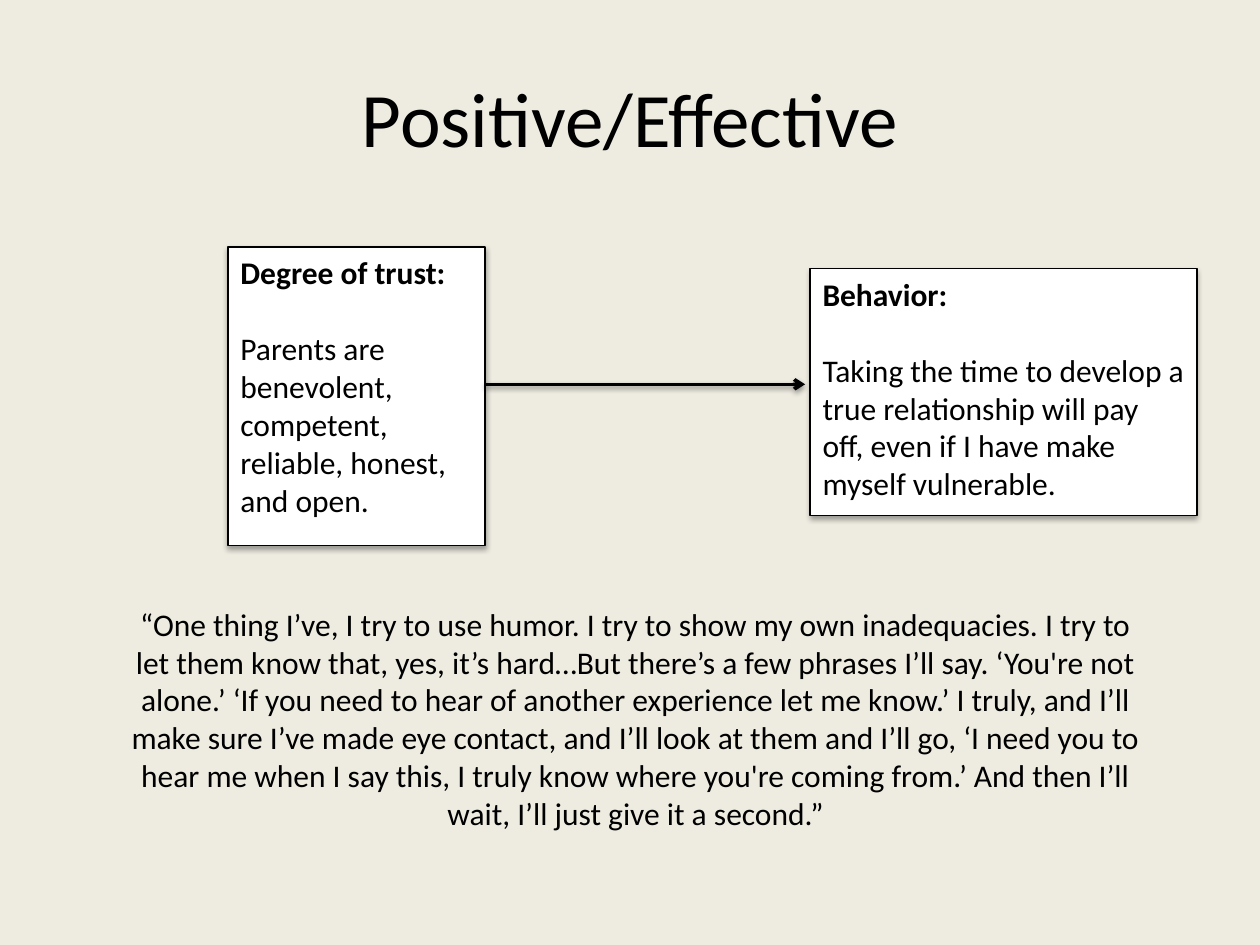
from pptx import Presentation
from pptx.dml.color import RGBColor
from pptx.enum.shapes import MSO_CONNECTOR, MSO_SHAPE
from pptx.enum.text import MSO_ANCHOR, PP_ALIGN
from pptx.oxml import parse_xml
from pptx.oxml.ns import nsdecls
from pptx.util import Inches, Pt

COLORS = {"background": "EEECE1", "box": "FFFFFF", "ink": "000000"}
BODY = {"name": "Calibri", "size": Pt(18), "bold": False}
HEADING = {**BODY, "bold": True}
TITLE = {**BODY, "size": Pt(44)}

TRUST = ("Degree of trust:",
         "Parents are benevolent, competent, reliable, honest, and open.")
BEHAVIOR = ("Behavior:",
            "Taking the time to develop a true relationship will pay off, "
            "even if I have make myself vulnerable.")
QUOTE = ("“One thing I’ve, I try to use humor. I try to show my own inadequacies. "
         "I try to let them know that, yes, it’s hard…But there’s a few phrases I’ll say. "
         "‘You're not alone.’ ‘If you need to hear of another experience let me know.’ "
         "I truly, and I’ll make sure I’ve made eye contact, and I’ll look at them and "
         "I’ll go, ‘I need you to hear me when I say this, I truly know where you're "
         "coming from.’ And then I’ll wait, I’ll just give it a second.”")


def rgb(name):
    """Return the named palette colour."""
    return RGBColor.from_string(COLORS[name])


def write(p, text, fmt, align=PP_ALIGN.LEFT):
    """Put formatted text into a paragraph."""
    p.alignment = align
    r = p.add_run()
    r.text = text
    for name, value in fmt.items():
        setattr(r.font, name, value)
    r.font.color.rgb = rgb("ink")


def set_line(sp, width):
    """Give a shape or connector a solid ink line."""
    sp.line.color.rgb = rgb("ink")
    sp.line.width = Pt(width)


def add_shadow(sp, alpha, distance):
    """Add a soft shadow that falls straight down."""
    sp._element.spPr.append(parse_xml(
        f'<a:effectLst {nsdecls("a")}><a:outerShdw blurRad="{Pt(3.1)}" '
        f'dist="{Pt(distance)}" dir="5400000" rotWithShape="0">'
        f'<a:srgbClr val="{COLORS["ink"]}"><a:alpha val="{alpha * 1000}"/></a:srgbClr>'
        '</a:outerShdw></a:effectLst>'))


def add_centered_text(s, box, text, fmt, anchor):
    """Add a wrapped text box with one centred paragraph."""
    tf = s.shapes.add_textbox(*map(Inches, box)).text_frame
    tf.word_wrap = True
    tf.vertical_anchor = anchor
    write(tf.paragraphs[0], text, fmt, PP_ALIGN.CENTER)


def add_card(s, box, heading, body):
    """Add a white box with a bold heading above its body."""
    sp = s.shapes.add_shape(MSO_SHAPE.RECTANGLE, *map(Inches, box))
    sp.fill.solid()
    sp.fill.fore_color.rgb = rgb("box")
    set_line(sp, 0.75)
    add_shadow(sp, 35, 1.8)
    tf = sp.text_frame
    tf.word_wrap = True
    tf.vertical_anchor = MSO_ANCHOR.TOP
    write(tf.paragraphs[0], heading, HEADING)
    p = tf.add_paragraph()
    p.space_before = Pt(22)
    write(p, body, BODY)


def add_arrow(s, left, right, y):
    """Add a horizontal arrow pointing right."""
    sp = s.shapes.add_connector(
        MSO_CONNECTOR.STRAIGHT, *map(Inches, (left, y, right, y)))
    set_line(sp, 2)
    sp.line._get_or_add_ln().append(
        parse_xml(f'<a:tailEnd {nsdecls("a")} type="arrow"/>'))
    add_shadow(sp, 38, 1.6)


def add_diagram(s, box):
    """Place the trust box, the behavior box and the arrow between them."""
    left, top, width, height = box
    trust_w, behavior_w = 2.04, 3.07
    behavior_left = left + width - behavior_w
    add_card(s, (left, top, trust_w, height), *TRUST)
    add_card(s, (behavior_left, top + 0.17, behavior_w, 1.96), *BEHAVIOR)
    add_arrow(s, left + trust_w, behavior_left - 0.04, top + 1.09)


def main():
    """Build and save the slide."""
    prs = Presentation()
    prs.slide_width, prs.slide_height = Inches(10), Inches(7.5)
    s = prs.slides.add_slide(prs.slide_layouts[6])
    s.background.fill.solid()
    s.background.fill.fore_color.rgb = rgb("background")
    add_centered_text(s, (0.5, 0.3, 9, 1.25), "Positive/Effective", TITLE, MSO_ANCHOR.MIDDLE)
    add_diagram(s, (1.81, 1.96, 7.69, 2.37))
    add_centered_text(s, (0.94, 4.75, 8.21, 2.22), QUOTE, BODY, MSO_ANCHOR.TOP)
    prs.save("out.pptx")


if __name__ == "__main__":
    main()
